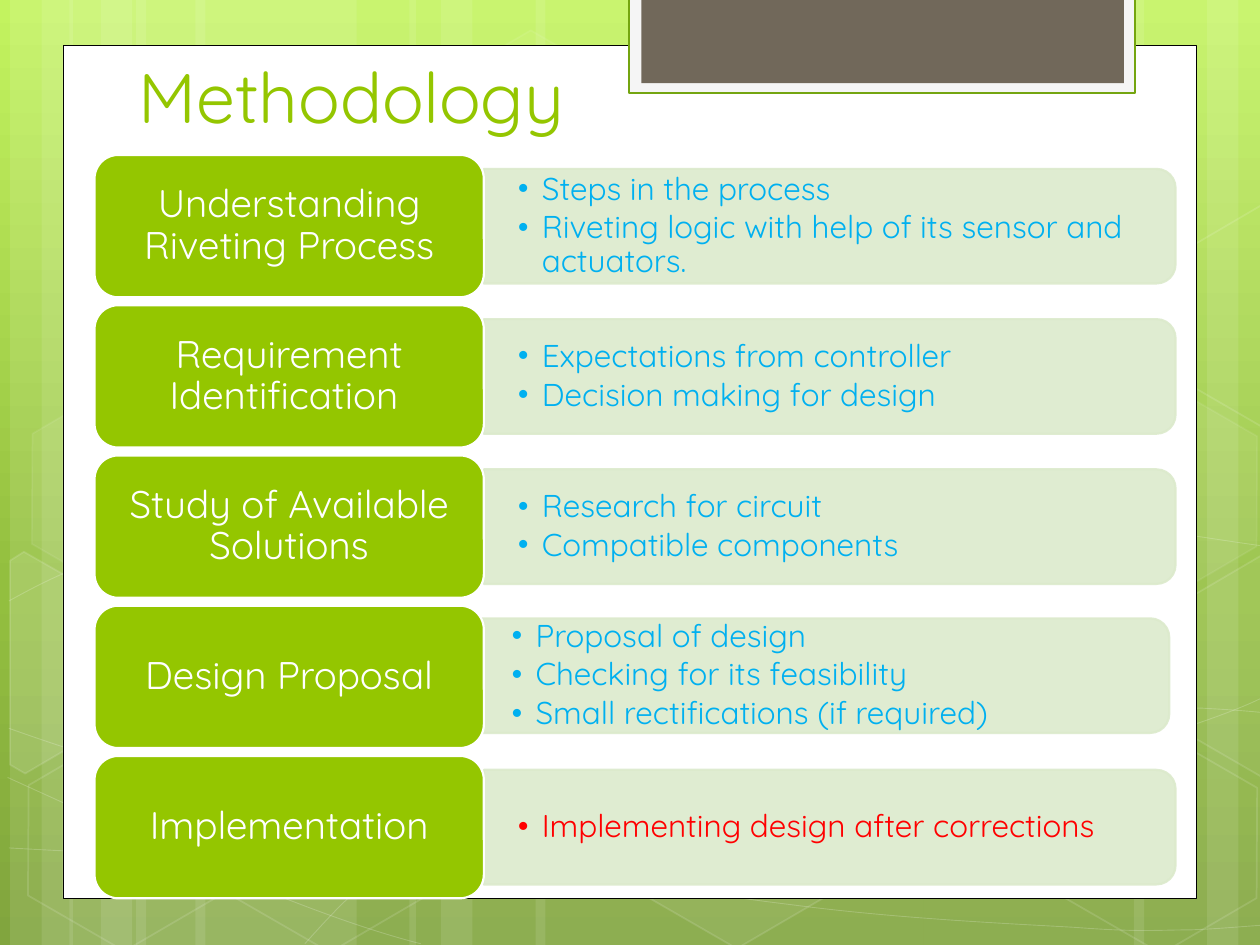
"""Build the Methodology slide: five stages, each with its detail panel."""
from copy import deepcopy
from lxml.etree import SubElement
from pptx import Presentation
from pptx.dml.color import RGBColor
from pptx.enum.shapes import MSO_SHAPE
from pptx.enum.text import MSO_ANCHOR, PP_ALIGN
from pptx.oxml.ns import qn
from pptx.util import Inches, Pt

FONT = "Quicksand"
WHITE = RGBColor(0xFF, 0xFF, 0xFF)
BLACK = RGBColor(0, 0, 0)
GREEN = RGBColor(0x94, 0xC6, 0x00)
EDGE = RGBColor(0x74, 0xA5, 0x10)
PALE = RGBColor(0xDC, 0xEA, 0xCC)
LIGHT = RGBColor(0xF5, 0xF5, 0xF5)
BROWN = RGBColor(0x71, 0x68, 0x5A)
BLUE = RGBColor(0x00, 0xB0, 0xF0)
RED = RGBColor(0xFF, 0, 0)
FADE = [(0, RGBColor(0xC3, 0xF3, 0x5F)), (0.62, RGBColor(0x93, 0xBF, 0x3F)),
        (1, RGBColor(0x81, 0xA5, 0x3E))]

TITLE = "Methodology"
STAGES = [
    ("Understanding Riveting Process", BLUE,
     ["Steps in the process", "Riveting logic with help of its sensor and actuators."]),
    ("Requirement Identification ", BLUE,
     ["Expectations from controller", "Decision making for design"]),
    ("Study of Available Solutions", BLUE,
     ["Research for circuit", "Compatible components"]),
    ("Design Proposal", BLUE,
     ["Proposal of design", "Checking for its feasibility",
      "Small rectifications (if required)"]),
    ("Implementation", RED, ["Implementing design after corrections"]),
]
SHIFTS = {3: (-0.05, -0.01)}
TOP, BASE = 1.23, 6
PITCH = (BASE - TOP) / (len(STAGES) - 1)
LEFT, WIDE, HIGH = 0.75, 3.09, 1.13
PANEL_W, PANEL_H, TEXT_W, TEXT_H = 5.49, 0.91, 5.45, 0.82

BANDS = [(1.08, 1.75), (0.08, 0.5), (0.33, 0.83), (1.55, 1.75), (0.55, 0.5),
         (0.8, 0.83), (7.33, 1.75), (9.58, 0.5), (9, 0.83), (4.25, 3.08),
         (3.25, 0.5), (3.5, 0.83)]
CURVES = [
    [(0.07, 6.73), (0.61, 6.76), (1.15, 6.79), (1.9, 6.78), (2.65, 6.77),
     (3.58, 6.75), (4.58, 6.65), (5.58, 6.55), (7, 6.36), (7.92, 6.17),
     (8.83, 5.98), (9.77, 5.68), (10.07, 5.51)],
    [(0.07, 4.77), (0.36, 4.61), (0.65, 4.46), (1.21, 4.31), (1.78, 4.16),
     (2.59, 3.94), (3.47, 3.87), (4.36, 3.8), (5.44, 3.79), (6.54, 3.87),
     (7.64, 3.95), (9.47, 4.26), (10.07, 4.34)],
    [(0.06, 6.17), (1.27, 6.72), (2.47, 7.27), (3.34, 7.49)],
    [(0.07, 5.78), (0.38, 5.89), (0.7, 6), (1.28, 6.16), (1.86, 6.31),
     (2.73, 6.56), (3.57, 6.73), (4.4, 6.9), (5.45, 7.08), (6.28, 7.18),
     (7.11, 7.29), (8, 7.33), (8.53, 7.36), (9.05, 7.4), (9.19, 7.38),
     (9.45, 7.38), (9.71, 7.37), (9.89, 7.35), (10.07, 7.34)],
    [(2.42, 7.49), (2.6, 7.29), (2.78, 7.09), (3.02, 6.91), (3.26, 6.73),
     (3.6, 6.53), (3.88, 6.39), (4.16, 6.25), (4.33, 6.19), (4.7, 6.09),
     (5.06, 5.99), (5.73, 5.85), (6.08, 5.78), (6.44, 5.71), (6.49, 5.71),
     (6.8, 5.69), (7.11, 5.66), (7.6, 5.63), (7.94, 5.62), (8.29, 5.61),
     (8.86, 5.62), (8.86, 5.62), (9.08, 5.62), (9.31, 5.62), (9.53, 5.62),
     (9.71, 5.63), (9.88, 5.64), (10.06, 5.66)],
]
HEXES = [(3.34, 0.36, 4, 8), (4.97, 5.89, 6, 12), (0.11, 5.91, 0, 12),
         (0.14, 3.12, 7, 8), (1.74, 5.92, 0, 12), (7.53, 4.53, 10, 12),
         (8.34, 5.93, 0, 12), (8.34, 3.14, 7, 8)]
SHARDS = [
    (10, [(0.08, 4.45), (0.19, 4.38), (0.96, 4.82), (0.95, 5.7), (0.2, 6.14),
          (0.08, 6.07)]),
    (4, [(9.26, 4.85), (10.01, 4.41), (10.09, 4.46), (10.09, 6.13),
         (10.02, 6.17), (9.26, 5.73)]),
    (0, [(9.26, 2.07), (10.01, 1.63), (10.1, 1.68), (10.09, 3.35),
         (10.02, 3.39), (9.26, 2.95)]),
]


def fade(fill, color, alpha):
    fill.solid()
    fill.fore_color.rgb = color
    if alpha < 100:
        node = fill._xPr.find(qn("a:solidFill"))[0]
        SubElement(node, qn("a:alpha")).set("val", str(alpha * 1000))


def paint(shape, color, alpha=100, edge=None, width=1, clear=100):
    shape.shadow.inherit = False
    if color is None or alpha == 0:
        shape.fill.background()
    else:
        fade(shape.fill, color, alpha)
    if edge is None:
        shape.line.fill.background()
    else:
        shape.line.width = Pt(width)
        fade(shape.line.fill, edge, clear)
    return shape


def place(kind, *box):
    return slide.shapes.add_shape(kind, *map(Inches, box))


def trace(points, close):
    spots = [(Inches(x), Inches(y)) for x, y in points]
    maker = slide.shapes.build_freeform(*spots[0], scale=1.0)
    maker.add_line_segments(spots[1:], close=close)
    return maker.convert_to_shape()


def bend(nodes):
    shape = trace(nodes, False)
    lines = list(shape._element.iter(qn("a:lnTo")))
    route = lines[0].getparent()
    for i in range(0, len(lines), 3):
        curve = SubElement(route, qn("a:cubicBezTo"))
        for line in lines[i:i + 3]:
            curve.append(line[0])
            route.remove(line)
    return shape


def write(shape, lines, size, color, anchor=MSO_ANCHOR.MIDDLE, inset=(0.1, 0.05),
          align=PP_ALIGN.LEFT, space=0.9, bullet=False):
    frame = shape.text_frame
    frame.text = "\n".join(lines)
    frame.word_wrap = True
    frame.vertical_anchor = anchor
    frame.margin_left = frame.margin_right = Inches(inset[0])
    frame.margin_top = frame.margin_bottom = Inches(inset[1])
    for para in frame.paragraphs:
        para.alignment = align
        para.line_spacing = space
        if bullet:
            para.level = 1
            para.space_after = Pt(2.7)
            props = para._p.get_or_add_pPr()
            props.set("marL", str(Inches(0.19)))
            props.set("indent", str(Inches(-0.19)))
            SubElement(props, qn("a:buFont")).set("typeface", FONT)
            SubElement(props, qn("a:buChar")).set("char", "•")
        for run in para.runs:
            run.font.name = FONT
            run.font.size = Pt(size)
            run.font.color.rgb = color


deck = Presentation()
deck.slide_width, deck.slide_height = Inches(10), Inches(7.5)
slide = deck.slides.add_slide(deck.slide_layouts[6])

back = slide.background.fill
back.gradient()
back.gradient_angle = 270
last = list(slide.element.iter(qn("a:gs")))[-1]
last.addnext(deepcopy(last))
for stop, (spot, color) in zip(back.gradient_stops, FADE):
    stop.position = spot
    stop.color.rgb = color

for x, width in BANDS:
    paint(place(MSO_SHAPE.RECTANGLE, x, 0, width, 7.5), WHITE, 10)
for nodes in CURVES:
    paint(bend(nodes), None, edge=WHITE, width=0.5, clear=20)
for x, y, alpha, clear in HEXES:
    cell = paint(place(MSO_SHAPE.HEXAGON, x, y, 1.75, 1.52), WHITE, alpha, WHITE, 1, clear)
    cell.adjustments[0] = 0.285
    cell.rotation = 30
for alpha, points in SHARDS:
    paint(trace(points, True), WHITE, alpha, WHITE, 1, 12)

paint(place(MSO_SHAPE.RECTANGLE, 0.5, 0.36, 9, 6.77), WHITE, edge=BLACK, width=0.5)
paint(place(MSO_SHAPE.RECTANGLE, 4.99, -0.02, 4.02, 0.76), LIGHT, edge=EDGE, width=1.25)
paint(place(MSO_SHAPE.RECTANGLE, 5.09, -0.02, 3.83, 0.68), BROWN)
title = slide.shapes.add_textbox(*map(Inches, (1, -0.11, 8.5, 1.25)))
write(title, [TITLE], 40, GREEN, MSO_ANCHOR.BOTTOM, space=1.0)

for i, (name, color, points) in enumerate(STAGES):
    top = TOP + i * PITCH
    dx, dy = SHIFTS.get(i, (0, 0))
    x, mid = LEFT + WIDE + dx, top + HIGH / 2 + dy
    panel = place(MSO_SHAPE.ROUND_2_SAME_RECTANGLE, x + (PANEL_W - PANEL_H) / 2,
                  mid - PANEL_W / 2, PANEL_H, PANEL_W)
    panel.rotation = 90
    paint(panel, PALE, 90, PALE, 1.25, 90)
    box = slide.shapes.add_textbox(*map(Inches, (x, mid - TEXT_H / 2, TEXT_W, TEXT_H)))
    write(box, points, 18, color, inset=(0.27, 0.14), bullet=True)
    label = place(MSO_SHAPE.ROUNDED_RECTANGLE, LEFT, top, WIDE, HIGH)
    paint(label, GREEN, edge=WHITE, width=1.25)
    write(label, [name], 22, WHITE, inset=(0.14, 0.1), align=PP_ALIGN.CENTER)

deck.save("out.pptx")
